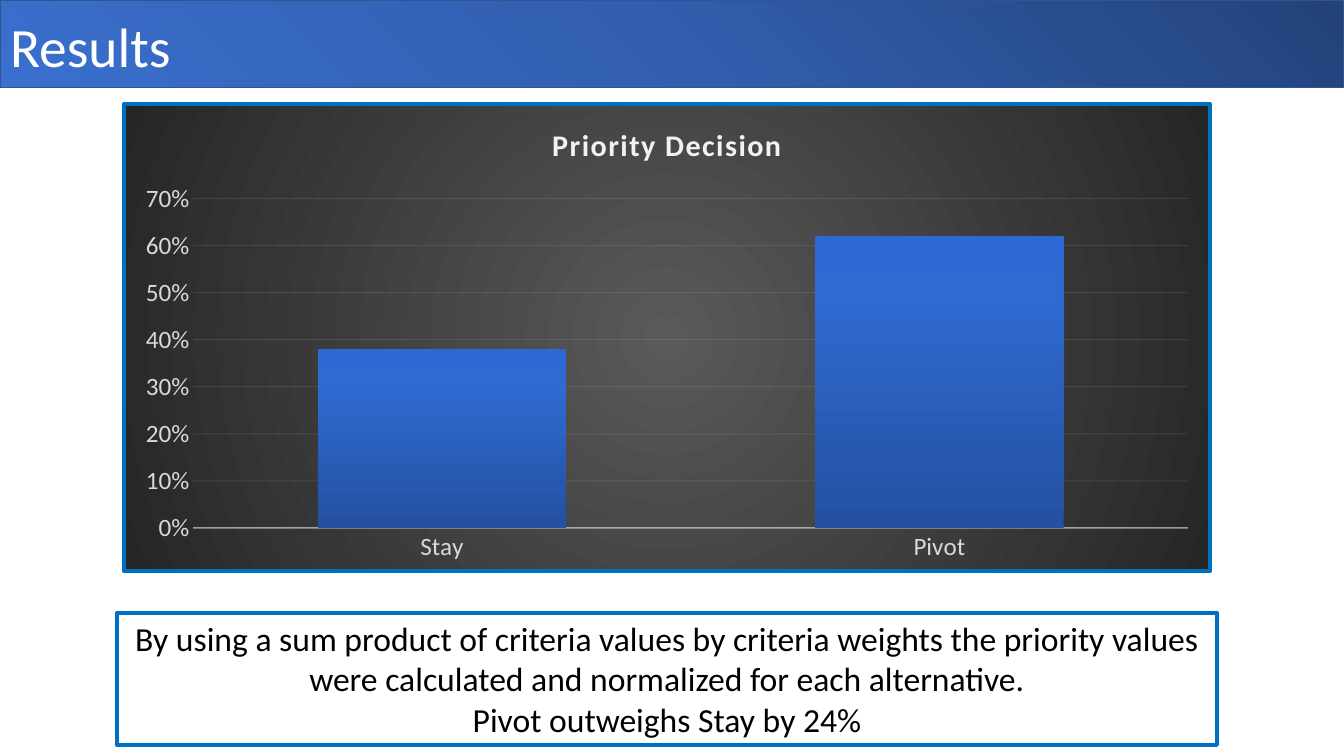
from lxml.etree import SubElement
from pptx import Presentation
from pptx.chart.data import CategoryChartData
from pptx.dml.color import RGBColor
from pptx.enum.chart import XL_CHART_TYPE, XL_TICK_MARK
from pptx.enum.shapes import MSO_SHAPE
from pptx.enum.text import MSO_ANCHOR, MSO_AUTO_SIZE, PP_ALIGN
from pptx.oxml import parse_xml
from pptx.oxml.ns import nsdecls, qn
from pptx.util import Inches, Pt

HUES = {
    "white": "FFFFFF", "black": "000000", "frame": "0070C0", "edge": "325491",
    "label": "D9D9D9", "pale": "F2F2F2", "gray": "595959", "coal": "262626",
    "navy": "23427A", "blue": "315EAD", "sky": "3A6FCE",
    "deep": "2451A1", "mid": "2F69D1", "top": "2C69D5",
}
RADIAL = ('<a:path path="circle"><a:fillToRect l="50000" t="50000" '
          'r="50000" b="50000"/></a:path>')


class Deck:
    """Hold the house style and the slide being built."""

    def __init__(self):
        self.file = Presentation()
        self.file.slide_width = Inches(13.33)
        self.file.slide_height = Inches(7.5)
        self.slide = self.file.slides.add_slide(self.file.slide_layouts[5])
        self.face = "Calibri"

    def color(self, hue):
        return RGBColor.from_string(HUES[hue])

    def font(self, font, size, hue, bold=False):
        font.name, font.size, font.bold = self.face, Pt(size), bold
        font.color.rgb = self.color(hue)

    def line(self, line, hue, width, alpha=None):
        line.color.rgb = self.color(hue)
        line.width = Pt(width)
        if alpha:
            tint = line.fill._xPr.find(".//" + qn("a:srgbClr"))
            SubElement(tint, qn("a:alpha")).set("val", str(alpha * 1000))

    def blend(self, stops, angle=None):
        marks = "".join(
            f'<a:gs pos="{at * 1000}"><a:srgbClr val="{HUES[hue]}"/></a:gs>'
            for at, hue in stops)
        way = RADIAL if angle is None else f'<a:lin ang="{angle * 60000}" scaled="0"/>'
        return parse_xml(f'<a:gradFill {nsdecls("a")} rotWithShape="1">'
                         f'<a:gsLst>{marks}</a:gsLst>{way}</a:gradFill>')

    def shade(self, fill, stops, angle):
        fill.solid()
        props = fill._xPr
        props.replace(props.find(qn("a:solidFill")), self.blend(stops, angle))

    def box(self, place, hue, width):
        box = self.slide.shapes.add_shape(MSO_SHAPE.RECTANGLE, *map(Inches, place))
        box.shadow.inherit = False
        box.fill.background()
        self.line(box.line, hue, width)
        return box

    def title(self, text, place):
        title = self.slide.shapes.title
        title.left, title.top, title.width, title.height = map(Inches, place)
        frame = title.text_frame
        frame.text = text
        frame.auto_size = MSO_AUTO_SIZE.NONE
        frame.vertical_anchor = MSO_ANCHOR.MIDDLE
        para = frame.paragraphs[0]
        para.alignment, para.line_spacing = PP_ALIGN.LEFT, 0.9
        self.font(para.font, 39.6, "white")

    def banner(self, place, stops):
        band = self.box(place, "edge", 1)
        self.shade(band.fill, stops, 135)
        self.slide.shapes.title._element.addprevious(band._element)

    def note(self, lines, place):
        frame = self.box(place, "frame", 3).text_frame
        frame.word_wrap = True
        frame.vertical_anchor = MSO_ANCHOR.TOP
        frame.text = "\n".join(lines)
        for para in frame.paragraphs:
            para.alignment = PP_ALIGN.CENTER
            self.font(para.font, 24, "black")

    def chart(self, head, data, place):
        source = CategoryChartData(number_format="0%")
        source.categories = list(data)
        source.add_series("Series 1", list(data.values()))
        chart = self.slide.shapes.add_chart(
            XL_CHART_TYPE.COLUMN_CLUSTERED, *map(Inches, place), source).chart
        self.font(chart.font, 18, "black")
        chart.has_legend = False
        self.head(chart, head)
        self.axes(chart)
        self.back(chart)
        plot = chart.plots[0]
        plot.gap_width, plot.overlap, plot.vary_by_categories = 100, -24, False
        self.shade(plot.series[0].format.fill,
                   [(0, "deep"), (80, "mid"), (100, "top")], 270)

    def head(self, chart, text):
        chart.has_title = True
        chart.chart_title.include_in_layout = False
        frame = chart.chart_title.text_frame
        frame.text = text
        run = frame.paragraphs[0].runs[0]
        self.font(run.font, 21.6, "pale", True)
        run._r.get_or_add_rPr().set("spc", "100")

    def axes(self, chart):
        cat, val = chart.category_axis, chart.value_axis
        for axis in (cat, val):
            axis.major_tick_mark = axis.minor_tick_mark = XL_TICK_MARK.NONE
            self.font(axis.tick_labels.font, 18, "label")
        self.line(cat.format.line, "pale", 1, 54)
        val.format.line.fill.background()
        val.minimum_scale, val.maximum_scale, val.major_unit = 0, 0.7, 0.1
        val.tick_labels.number_format = "0%"
        val.tick_labels.number_format_is_linked = False
        self.line(val.major_gridlines.format.line, "pale", 0.75, 10)

    def back(self, chart):
        props = parse_xml(
            f'<c:spPr {nsdecls("c", "a")}><a:ln w="{Pt(3)}"><a:solidFill>'
            f'<a:srgbClr val="{HUES["frame"]}"/></a:solidFill><a:round/></a:ln></c:spPr>')
        props.insert(0, self.blend([(0, "gray"), (100, "coal")]))
        chart._chartSpace.find(qn("c:chart")).addnext(props)


def main():
    deck = Deck()
    deck.title("Results", (0, 0.11, 11.38, 0.76))
    deck.banner((0, 0, 13.33, 0.87), [(0, "navy"), (50, "blue"), (100, "sky")])
    deck.chart("Priority Decision", {"Stay": 0.38, "Pivot": 0.62},
               (1.21, 1.01, 10.81, 4.68))
    deck.note(["By using a sum product of criteria values by criteria weights the "
               "priority values were calculated and normalized for each alternative.",
               "Pivot outweighs Stay by 24%"], (1.16, 6.08, 10.91, 1.31))
    deck.file.save("out.pptx")


if __name__ == "__main__":
    main()
